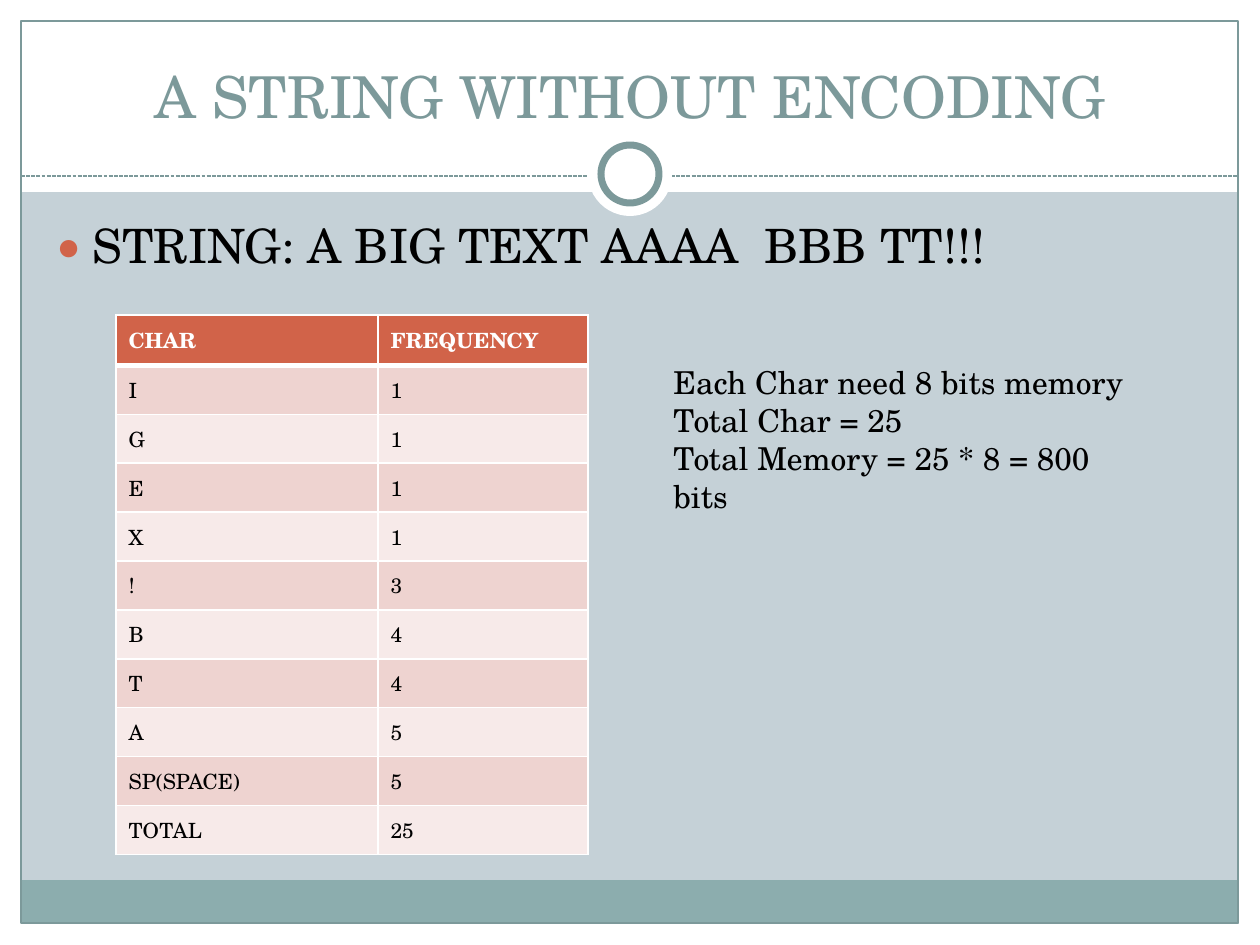
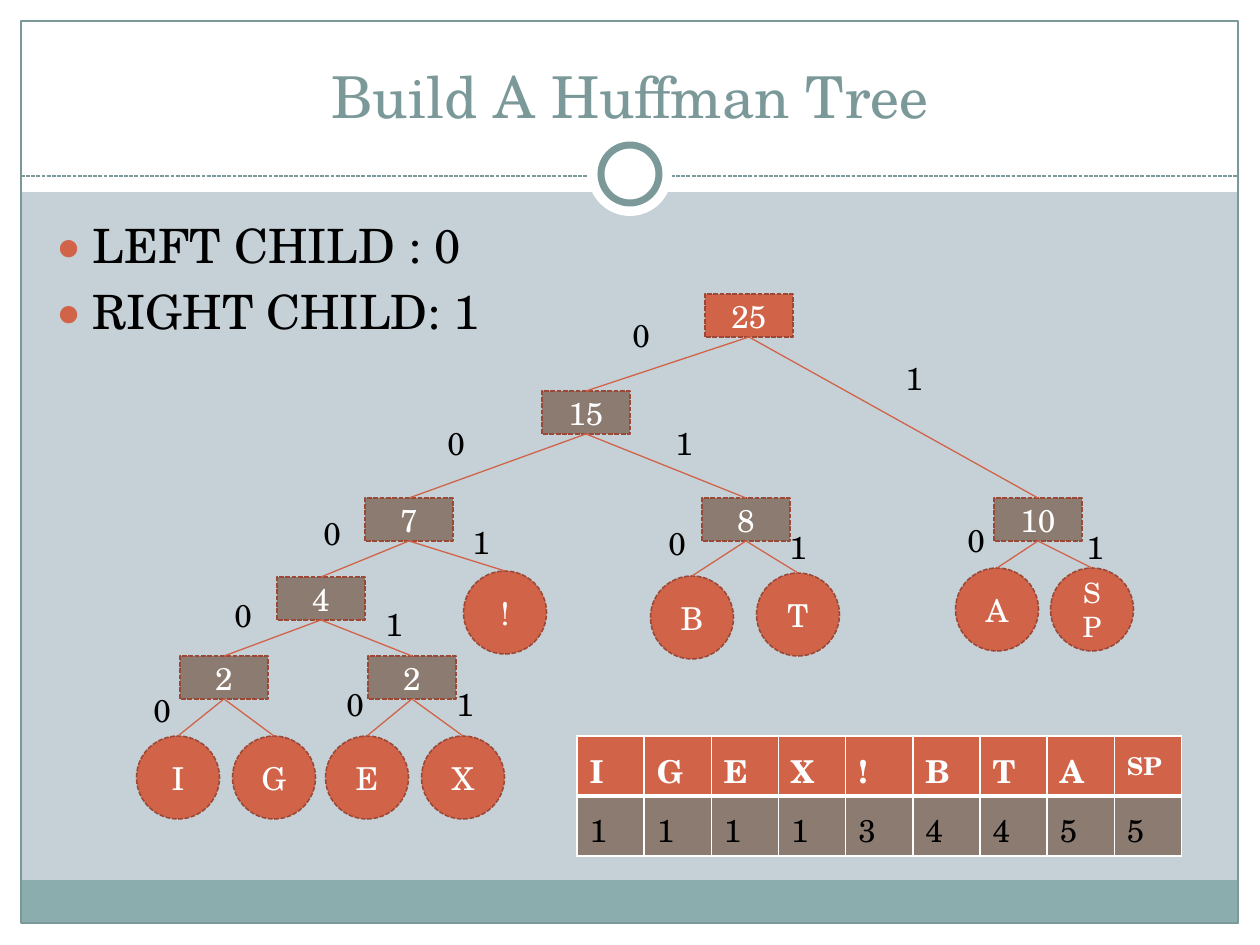
from lxml.etree import SubElement
from pptx import Presentation
from pptx.dml.color import RGBColor
from pptx.enum.dml import MSO_LINE
from pptx.enum.shapes import MSO_CONNECTOR, MSO_SHAPE
from pptx.enum.text import MSO_ANCHOR as ANCHOR, MSO_AUTO_SIZE as AUTO_SIZE, PP_ALIGN as ALIGN
from pptx.oxml.ns import qn
from pptx.util import Emu, Pt

SCALE = 914400 / 126
WIDTH, HEIGHT = 1260, 945
FONT = "TeX Gyre Schola"

WHITE = RGBColor(0xFF, 0xFF, 0xFF)
BLACK = RGBColor(0x00, 0x00, 0x00)
BACKGROUND = RGBColor(0xC5, 0xD1, 0xD7)
BAND = RGBColor(0x8C, 0xAD, 0xAE)
TEAL = RGBColor(0x7C, 0x99, 0x9A)
ORANGE = RGBColor(0xD1, 0x63, 0x49)
RUST = RGBColor(0x9B, 0x49, 0x36)
BROWN = RGBColor(0x8C, 0x7B, 0x70)
PINK = RGBColor(0xEE, 0xD3, 0xD0)
PALE_PINK = RGBColor(0xF7, 0xEA, 0xE9)

BOX_SIZE = (88, 43)
LEAF_SIZE = (83, 83)
BULLET_INDENT = 38

FREQUENCIES = [("I", 1), ("G", 1), ("E", 1), ("X", 1), ("!", 3),
               ("B", 4), ("T", 4), ("A", 5), ("SP", 5)]

# name, text, centre x, top, parent, bit on the edge, bit label left and top
TREE = [
    ("root", "25", 749, 294, None, None, None),
    ("n15", "15", 586, 391, "root", "0", (620, 310)),
    ("n10", "10", 1038, 498, "root", "1", (893, 353)),
    ("n7", "7", 409, 498, "n15", "0", (435, 418)),
    ("n8", "8", 746, 498, "n15", "1", (663, 418)),
    ("n4", "4", 321, 577, "n7", "0", (311, 508)),
    ("leaf!", "!", 505, 571, "n7", "1", (460, 517)),
    ("n2 left", "2", 224, 656, "n4", "0", (222, 590)),
    ("n2 right", "2", 412, 656, "n4", "1", (373, 599)),
    ("leafI", "I", 178, 736, "n2 left", "0", (141, 685)),
    ("leafG", "G", 274, 736, "n2 left", None, None),
    ("leafE", "E", 367, 736, "n2 right", "0", (334, 679)),
    ("leafX", "X", 463, 736, "n2 right", "1", (444, 679)),
    ("leafB", "B", 692, 576, "n8", "0", (656, 518)),
    ("leafT", "T", 798, 573, "n8", "1", (777, 522)),
    ("leafA", "A", 997, 568, "n10", "0", (955, 515)),
    ("leafSP", "SP", 1092, 568, "n10", "1", (1074, 522)),
]


def px(value):
    """Turn picture pixels into EMU."""
    return Emu(round(value * SCALE))


def apply_format(target, **values):
    """Set each given value as an attribute of the target."""
    for name, value in values.items():
        setattr(target, name, value)


class Deck:
    """Holds the shared style and the slide being built."""

    def __init__(self):
        self.presentation = Presentation()
        apply_format(self.presentation, slide_width=px(WIDTH), slide_height=px(HEIGHT))
        self.slide = None

    def new_slide(self, title, bullets):
        """Start a slide with the frame, a title and a bullet list."""
        self.slide = self.presentation.slides.add_slide(self.presentation.slide_layouts[1])
        fill = self.slide.background.fill
        fill.solid()
        fill.fore_color.rgb = BACKGROUND
        self.frame()
        self.title(title)
        self.bullets(bullets)

    def frame(self):
        """Draw the borders, bands and the ring under the title."""
        rectangle, ellipse = MSO_SHAPE.RECTANGLE, MSO_SHAPE.OVAL
        for box in ((0, 924, WIDTH, 21), (0, 0, WIDTH, 192),
                    (0, 0, 21, HEIGHT), (1239, 0, 21, HEIGHT)):
            self.shape(rectangle, box, WHITE)
        self.shape(rectangle, (21, 880, 1217, 43), BAND)
        self.shape(rectangle, (21, 21, 1217, 902), line=TEAL, weight=0.75)
        self.line((21, 176), (1239, 176), TEAL, MSO_LINE.SQUARE_DOT)
        self.shape(ellipse, (588, 132, 84, 84), WHITE)
        self.shape(ellipse, (601, 145, 58, 58), WHITE, TEAL, 4)

    def place(self, shape, box):
        """Move a placeholder to a box, in front of the frame."""
        left, top, width, height = map(px, box)
        apply_format(shape, left=left, top=top, width=width, height=height)
        self.slide.shapes.element.append(shape.element)

    def fill_text(self, frame, lines, size, color, align=ALIGN.LEFT, bold=False):
        """Fill a text frame with one paragraph per line."""
        for index, line in enumerate(lines):
            paragraph = frame.paragraphs[0] if index == 0 else frame.add_paragraph()
            paragraph.alignment = align
            run = paragraph.add_run()
            run.text = line
            apply_format(run.font, name=FONT, size=Pt(size), bold=bold)
            run.font.color.rgb = color

    def title(self, text):
        """Format the title placeholder."""
        shape = self.slide.shapes.title
        self.place(shape, (42, 31, 1176, 105))
        apply_format(shape.text_frame, vertical_anchor=ANCHOR.BOTTOM,
                     auto_size=AUTO_SIZE.NONE, word_wrap=True)
        self.fill_text(shape.text_frame, [text], 33, TEAL, ALIGN.CENTER)

    def bullets(self, lines):
        """Format the body placeholder as a bullet list."""
        shape = self.slide.placeholders[1]
        self.place(shape, (42, 210, 1172, 630))
        apply_format(shape.text_frame, vertical_anchor=ANCHOR.TOP,
                     auto_size=AUTO_SIZE.NONE, word_wrap=True)
        self.fill_text(shape.text_frame, lines, 27, BLACK)
        for paragraph in shape.text_frame.paragraphs:
            properties = paragraph._p.get_or_add_pPr()
            properties.set("marL", str(px(BULLET_INDENT)))
            properties.set("indent", str(-px(BULLET_INDENT)))
            color = SubElement(properties, qn("a:buClr"))
            SubElement(color, qn("a:srgbClr"), val=str(ORANGE))
            SubElement(properties, qn("a:buSzPct"), val="85000")
            SubElement(properties, qn("a:buFont"), typeface=FONT)
            SubElement(properties, qn("a:buChar"), char="●")

    def shape(self, kind, box, fill=None, line=None, weight=1.0, dash=None):
        """Add a preset shape with optional fill and outline."""
        shape = self.slide.shapes.add_shape(kind, *map(px, box))
        shape.shadow.inherit = False
        if fill is None:
            shape.fill.background()
        else:
            shape.fill.solid()
            shape.fill.fore_color.rgb = fill
        if line is None:
            shape.line.fill.background()
        else:
            shape.line.color.rgb = line
            apply_format(shape.line, width=Pt(weight), dash_style=dash)
        return shape

    def line(self, start=(0, 0), end=(0, 0), color=ORANGE, dash=None):
        """Add a thin straight connector without a shadow."""
        connector = self.slide.shapes.add_connector(
            MSO_CONNECTOR.STRAIGHT, *map(px, start + end))
        connector.line.color.rgb = color
        apply_format(connector.line, width=Pt(0.75), dash_style=dash)
        SubElement(connector._element.spPr, qn("a:effectLst"))
        return connector

    def text(self, box, lines):
        """Add a plain text box."""
        frame = self.slide.shapes.add_textbox(*map(px, box)).text_frame
        frame.word_wrap = True
        self.fill_text(frame, lines, 18, BLACK)

    def node(self, text, center, top, leaf, fill):
        """Add a tree node: a circle for a leaf, a box otherwise."""
        width, height = LEAF_SIZE if leaf else BOX_SIZE
        kind = MSO_SHAPE.OVAL if leaf else MSO_SHAPE.RECTANGLE
        shape = self.shape(kind, (center - width / 2, top, width, height),
                           fill, RUST, 0.9, MSO_LINE.SQUARE_DOT)
        apply_format(shape.text_frame, word_wrap=True, vertical_anchor=ANCHOR.MIDDLE)
        self.fill_text(shape.text_frame, [text], 16 if text == "SP" else 18, WHITE, ALIGN.CENTER)
        return shape

    def edge(self, parent, child):
        """Join the bottom of the parent to the top of the child."""
        connector = self.line()
        connector.begin_connect(parent, 2)
        connector.end_connect(child, 0)

    def table(self, origin, widths, row_height, rows, size, margin, fills):
        """Add a table with an orange header and repeating row fills."""
        table = self.slide.shapes.add_table(
            len(rows), len(widths), *map(px, origin),
            px(sum(widths)), px(row_height * len(rows))).table
        for column, width in zip(table.columns, widths):
            column.width = px(width)
        for row_index, values in enumerate(rows):
            table.rows[row_index].height = px(row_height)
            header = row_index == 0
            fill = ORANGE if header else fills[(row_index - 1) % len(fills)]
            for column_index, value in enumerate(values):
                cell = table.cell(row_index, column_index)
                apply_format(cell, margin_top=px(margin), margin_bottom=px(margin))
                cell.fill.solid()
                cell.fill.fore_color.rgb = fill
                cell_size = 14 if value == "SP" else size
                self.fill_text(cell.text_frame, [str(value)], cell_size,
                               WHITE if header else BLACK, bold=header)
                self.borders(cell, top=3 if row_index == 1 else 1, bottom=3 if header else 1)

    def borders(self, cell, top, bottom):
        """Give a cell white borders, with own top and bottom widths."""
        properties = cell._tc.get_or_add_tcPr()
        sides = (("a:lnL", 1), ("a:lnR", 1), ("a:lnT", top), ("a:lnB", bottom))
        for index, (side, weight) in enumerate(sides):
            border = SubElement(properties, qn(side), w=str(Pt(weight)))
            fill = SubElement(border, qn("a:solidFill"))
            SubElement(fill, qn("a:srgbClr"), val=str(WHITE))
            properties.insert(index, border)


def build_frequency_slide(deck):
    """Show the character counts and the memory needed."""
    deck.new_slide("A STRING WITHOUT ENCODING", ["STRING: A BIG TEXT AAAA  BBB TT!!!"])
    total = sum(count for _, count in FREQUENCIES)
    rows = [("CHAR", "FREQUENCY"), *FREQUENCIES[:-1], ("SP(SPACE)", 5), ("TOTAL", total)]
    deck.table((116, 315), (262, 210), 44.9, rows, 12, 9, (PINK, PALE_PINK))
    deck.text((661, 357, 499, 165), ["Each Char need 8 bits memory", "Total Char = 25",
                                     "Total Memory = 25 * 8 = 800 bits"])


def build_tree_slide(deck):
    """Draw the Huffman tree with its bits and the count table."""
    deck.new_slide("Build A Huffman Tree", ["LEFT CHILD : 0", "RIGHT CHILD: 1"])
    nodes = {}
    for name, text, center, top, parent, bit, label in TREE:
        leaf = name.startswith("leaf")
        fill = ORANGE if leaf or parent is None else BROWN
        nodes[name] = deck.node(text, center, top, leaf, fill)
        if parent:
            deck.edge(nodes[parent], nodes[name])
        if bit:
            deck.text((*label, 45 if bit == "0" else 39, 50), [bit])
    deck.table((577, 736), [67.2] * len(FREQUENCIES), 60, list(zip(*FREQUENCIES)),
               18, 11, (BROWN,))


deck = Deck()
build_frequency_slide(deck)
build_tree_slide(deck)
deck.presentation.save("out.pptx")
